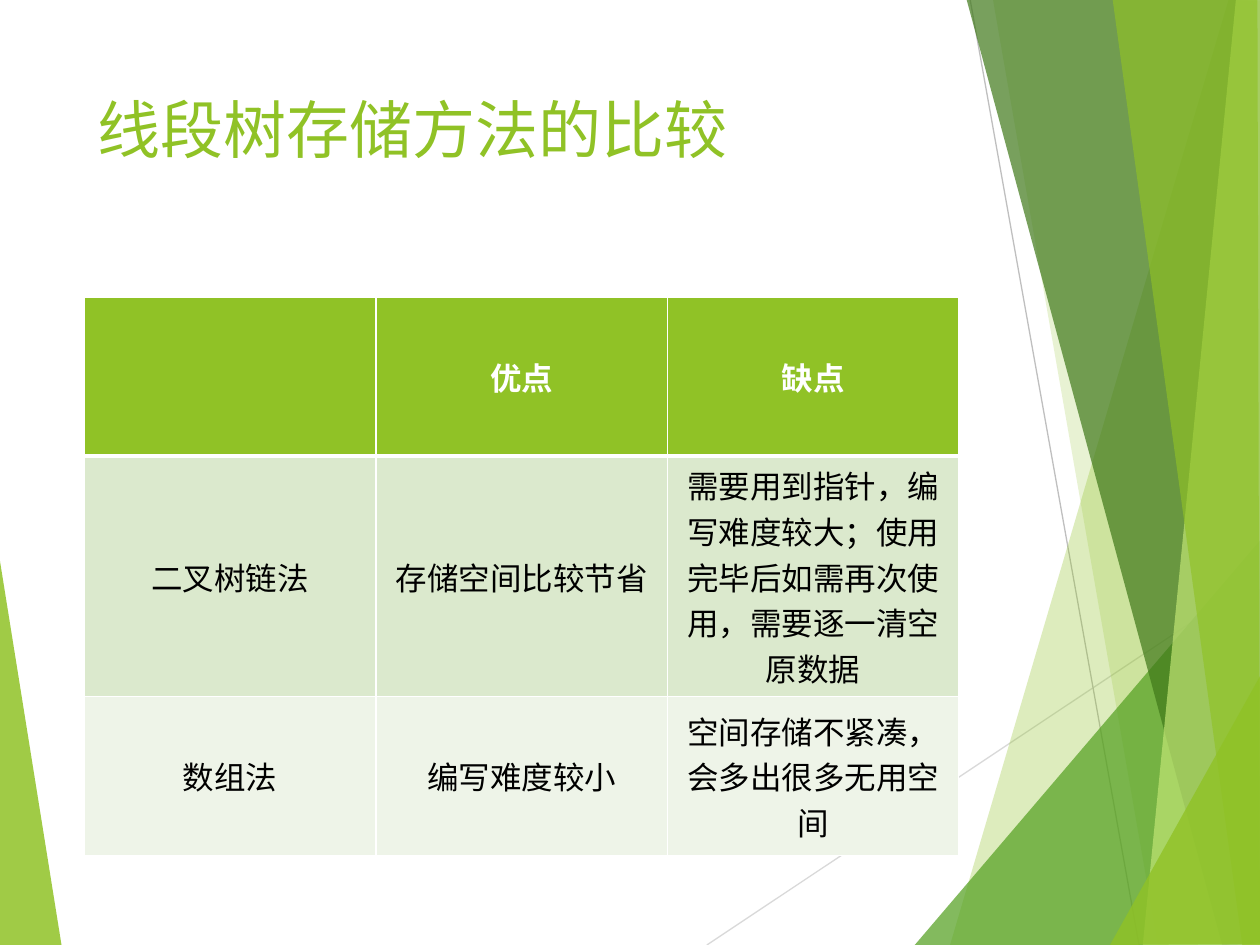
from dataclasses import dataclass

from lxml.etree import SubElement as Sub
from pptx import Presentation
from pptx.dml.color import RGBColor as Rgb
from pptx.enum.shapes import MSO_CONNECTOR as Link
from pptx.enum.text import MSO_ANCHOR as Anchor, PP_ALIGN as Align
from pptx.oxml.ns import qn
from pptx.util import Inches, Pt

FONT = "Roboto"
COLORS = {
    "lime": "90C226", "green": "54A021", "dark": "3F7819", "pale": "C0E474",
    "white": "FFFFFF", "black": "000000", "silver": "D9D9D9", "gray": "BFBFBF",
    "tint": "DBE9CD", "mist": "EEF4E8",
}


@dataclass
class Facet:
    points: list[tuple[float, float]]
    color: str
    alpha: int


@dataclass
class Ray:
    start: tuple[float, float]
    end: tuple[float, float]
    color: str


@dataclass
class Row:
    texts: tuple[str, str, str]
    fill: str
    ink: str
    bold: bool = False


LEFT = Facet([(-0.01, 4.39), (0.49, 7.51), (-0.01, 7.5)], "lime", 85)
RAYS = [
    Ray((5.61, 7.5), (10.01, 4.57), "silver"),
    Ray((7.7, 0), (9.04, 7.5), "gray"),
]
FACETS = [
    Facet([(9.75, 0), (7.54, 7.5), (10.02, 7.51), (10.01, 0.01)], "lime", 30),
    Facet([(7.88, -0.01), (9.19, 7.5), (10.01, 7.5), (10.01, -0.01)], "lime", 20),
    Facet([(7.26, 7.5), (10, 4.29), (10.01, 7.5)], "green", 72),
    Facet([(7.67, -0.01), (9.7, 7.5), (10.01, 7.49), (10.01, -0.01)], "dark", 70),
    Facet([(9.81, -0.01), (9.07, 7.5), (10.01, 7.5), (10, -0.01)], "pale", 70),
    Facet([(8.83, -0.01), (9.86, 7.5), (10, 7.5), (9.98, -0.01)], "lime", 65),
    Facet([(8.81, 7.5), (10.01, 5.35), (10.01, 7.49)], "lime", 80),
]
ROWS = [
    Row(("", "优点", "缺点"), "lime", "white", True),
    Row(("二叉树链法", "存储空间比较节省",
         "需要用到指针，编写难度较大；使用完毕后如需再次使用，需要逐一清空原数据"),
        "tint", "black"),
    Row(("数组法", "编写难度较小", "空间存储不紧凑，会多出很多无用空间"),
        "mist", "black"),
]


def tone(name: str) -> Rgb:
    return Rgb.from_string(COLORS[name])


def style(para, size: int, color: str, align, bold: bool = False) -> None:
    para.alignment = align
    font = para.font
    font.name, font.size, font.bold = FONT, Pt(size), bold
    font.color.rgb = tone(color)


def draw_facet(shapes, facet: Facet) -> None:
    first, *rest = [(Inches(x), Inches(y)) for x, y in facet.points]
    pen = shapes.build_freeform(*first)
    pen.add_line_segments(rest, close=True)
    shape = pen.convert_to_shape()
    shape.shadow.inherit = False
    shape.fill.solid()
    shape.fill.fore_color.rgb = tone(facet.color)
    shape.line.fill.background()
    color = shape.element.spPr.find(qn("a:solidFill"))[0]
    Sub(color, qn("a:alpha"), val=str(facet.alpha * 1000))


def draw_ray(shapes, ray: Ray) -> None:
    ends = [Inches(n) for n in ray.start + ray.end]
    line = shapes.add_connector(Link.STRAIGHT, *ends)
    line.line.color.rgb = tone(ray.color)
    line.line.width = Pt(0.75)
    Sub(line.element.spPr, qn("a:effectLst"))


def edge(cell, side: str, width: int) -> None:
    props = cell._tc.get_or_add_tcPr()
    line = Sub(props, qn(f"a:ln{side}"), w=str(Pt(width)))
    fill = Sub(line, qn("a:solidFill"))
    Sub(fill, qn("a:srgbClr"), val=COLORS["white"])


def fill_cell(cell, text: str, row: Row, top: int, base: int) -> None:
    for side, width in zip("LRTB", (1, 1, top, base)):
        edge(cell, side, width)
    cell.fill.solid()
    cell.fill.fore_color.rgb = tone(row.fill)
    cell.vertical_anchor = Anchor.MIDDLE
    cell.text = text
    style(cell.text_frame.paragraphs[0], 18, row.ink, Align.CENTER, row.bold)


def draw_table(shapes) -> None:
    frame = shapes.add_table(len(ROWS), 3, Inches(0.67), Inches(2.36),
                             Inches(6.94), Inches(3.78))
    table = frame.table
    for i, row in enumerate(ROWS):
        table.rows[i].height = Inches(1.26)
        top, base = (3 if i == 1 else 1), (3 if i == 0 else 1)
        for j, text in enumerate(row.texts):
            fill_cell(table.cell(i, j), text, row, top, base)


def set_title(title, text: str) -> None:
    title.left, title.top = Inches(0.67), Inches(0.67)
    title.width, title.height = Inches(6.94), Inches(1.44)
    frame = title.text_frame
    frame.text = text
    frame.vertical_anchor = Anchor.TOP
    style(frame.paragraphs[0], 36, "lime", Align.LEFT)
    title.element.getparent().append(title.element)


deck = Presentation()
deck.slide_width, deck.slide_height = Inches(10), Inches(7.5)
slide = deck.slides.add_slide(deck.slide_layouts[5])
shapes = slide.shapes
draw_facet(shapes, LEFT)
for ray in RAYS:
    draw_ray(shapes, ray)
for facet in FACETS:
    draw_facet(shapes, facet)
set_title(shapes.title, "线段树存储方法的比较")
draw_table(shapes)
deck.save("out.pptx")
